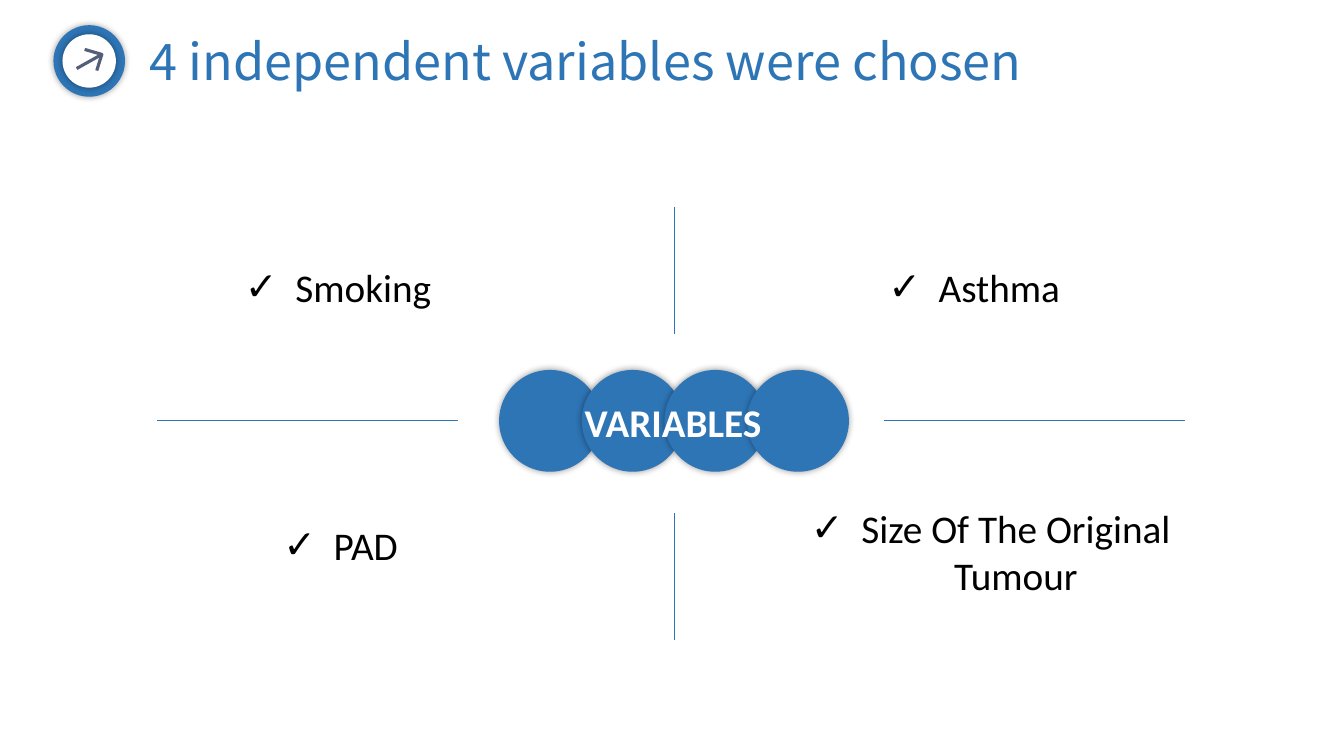
import dataclasses

import lxml.etree
import pptx
import pptx.util
import pptx.dml.color
import pptx.enum.shapes
import pptx.enum.text
import pptx.oxml.ns

Inches = pptx.util.Inches
Pt = pptx.util.Pt
RGB = pptx.dml.color.RGBColor.from_string
qn = pptx.oxml.ns.qn
SHAPE = pptx.enum.shapes.MSO_SHAPE
ALIGN = pptx.enum.text.PP_ALIGN
ANCHOR = pptx.enum.text.MSO_ANCHOR
AUTO = pptx.enum.text.MSO_AUTO_SIZE


@dataclasses.dataclass(frozen=True)
class Theme:
    blue: str = "2E75B6"
    white: str = "FFFFFF"
    black: str = "000000"
    slate: str = "545D79"
    title_font: str = "Noto Sans CJK JP"
    body_font: str = "Calibri"
    title_size: int = 36
    body_size: int = 28


T = Theme()


def add_xml(parent, tag, **attrs):
    """Append a DrawingML element and return it."""
    return lxml.etree.SubElement(parent, qn(tag), {k: str(v) for k, v in attrs.items()})


def place(sp, x, y, w, h):
    sp.left, sp.top, sp.width, sp.height = (Inches(v) for v in (x, y, w, h))


def write(sp, text, font, size, color, bold=False, align=ALIGN.LEFT):
    """Fill a text shape with one formatted run."""
    tf = sp.text_frame
    tf.word_wrap = True
    tf.auto_size = AUTO.SHAPE_TO_FIT_TEXT
    tf.vertical_anchor = ANCHOR.TOP
    p = tf.paragraphs[0]
    p.alignment = align
    p.space_before = Pt(0)
    p.line_spacing = 1.0
    r = p.add_run()
    r.text = text
    r.font.name, r.font.size, r.font.bold = font, Pt(size), bold
    r.font.color.rgb = RGB(color)
    return p


def disc(s, x, y, d, color, rotation=0):
    """Circle with a soft, even shadow."""
    sp = s.shapes.add_shape(SHAPE.OVAL, Inches(x), Inches(y), Inches(d), Inches(d))
    sp.rotation = rotation
    sp.fill.solid()
    sp.fill.fore_color.rgb = RGB(color)
    sp.line.fill.background()
    sp.shadow.inherit = False
    effects = sp._element.spPr.find(qn("a:effectLst"))
    shadow = add_xml(effects, "a:outerShdw", blurRad=Pt(5), dist=0, algn="ctr", rotWithShape=0)
    add_xml(add_xml(shadow, "a:srgbClr", val=T.black), "a:alpha", val=40000)


def line(s, x1, y1, x2, y2, color, width):
    c = s.shapes.add_connector(pptx.enum.shapes.MSO_CONNECTOR.STRAIGHT,
                               Inches(x1), Inches(y1), Inches(x2), Inches(y2))
    c.line.color.rgb = RGB(color)
    c.line.width = Pt(width)
    add_xml(c._element.spPr, "a:effectLst")


def arrow_badge(s, x, y, d):
    """Blue ring holding a thin arrow that points up and right."""
    rim = 0.09
    disc(s, x, y, d, T.blue, 330.5)
    disc(s, x + rim, y + rim, d - 2 * rim, T.white, 330.5)
    tip = (x + 0.48, y + 0.29)
    fb = s.shapes.build_freeform(Inches(x + 0.31), Inches(y + 0.24))
    fb.add_line_segments([(Inches(tip[0]), Inches(tip[1])),
                          (Inches(x + 0.43), Inches(y + 0.45))], close=False)
    head = fb.convert_to_shape()
    head.fill.background()
    head.line.color.rgb = RGB(T.slate)
    head.line.width = Pt(2.25)
    head.shadow.inherit = False
    line(s, x + 0.23, y + 0.43, *tip, T.slate, 2.25)


def header(s, x, y, w, h):
    arrow_badge(s, x, y, h)
    title = s.shapes.title
    place(title, x + 0.85, y, w - 0.85, h)
    write(title, "4 independent variables were chosen", T.title_font, T.title_size, T.blue)


def cross_lines(s, x, y, w, h):
    """Four divider lines around an open centre."""
    cx, cy = x + 5.13, y + 2.12
    across, down = 2.98, 1.26
    for left in (x, x + w - across):
        line(s, left, cy, left + across, cy, T.blue, 1)
    for top in (y, y + h - down):
        line(s, cx, top, cx, top + down, T.blue, 1)


def hub(s, x, y, d):
    """Chain of overlapping discs with the label on top."""
    step = 0.82
    for i in range(4):
        disc(s, x + i * step, y, d, T.blue)
    label = s.shapes.add_textbox(Inches(x + 0.75), Inches(y + 0.23), Inches(2.81), Inches(0.57))
    write(label, "VARIABLES", T.body_font, T.body_size, T.white, bold=True)


def check_item(sp, text, box, align):
    """One list entry with a hanging check mark."""
    place(sp, *box)
    p = write(sp, text, T.body_font, T.body_size, T.black, align=align)
    pPr = p._p.get_or_add_pPr()
    pPr.set("marL", str(Inches(0.5)))
    pPr.set("indent", str(-Inches(0.5)))
    add_xml(pPr, "a:buChar", char="✓")


def variables(s, x, y, w, h):
    """Cross, hub and one checked item in each quarter."""
    cross_lines(s, x, y, w, h)
    hub(s, x + 3.39, y + 1.62, 1.01)
    items = [
        ("Smoking", (x + 0.77, y + 0.51, 2.24, 0.57), ALIGN.LEFT),
        ("Asthma", (x + 7.15, y + 0.51, 2.24, 0.57), ALIGN.LEFT),
        ("PAD", (x + 1.15, y + 3.07, 2.24, 0.57), ALIGN.LEFT),
        ("Size Of The Original Tumour", (x + 6.23, y + 2.9, 4.07, 1.04), ALIGN.CENTER),
    ]
    for idx, (text, box, align) in enumerate(items, start=1):
        check_item(s.placeholders[idx], text, box, align)


def main():
    prs = pptx.Presentation()
    prs.slide_width, prs.slide_height = Inches(13.33), Inches(7.5)
    # Comparison layout: a title and four body placeholders
    s = prs.slides.add_slide(prs.slide_layouts[4])
    s.background.fill.solid()
    s.background.fill.fore_color.rgb = RGB(T.white)
    header(s, 0.53, 0.25, 10.22, 0.71)
    variables(s, 1.56, 2.05, 10.19, 4.3)
    prs.save("out.pptx")


if __name__ == "__main__":
    main()
